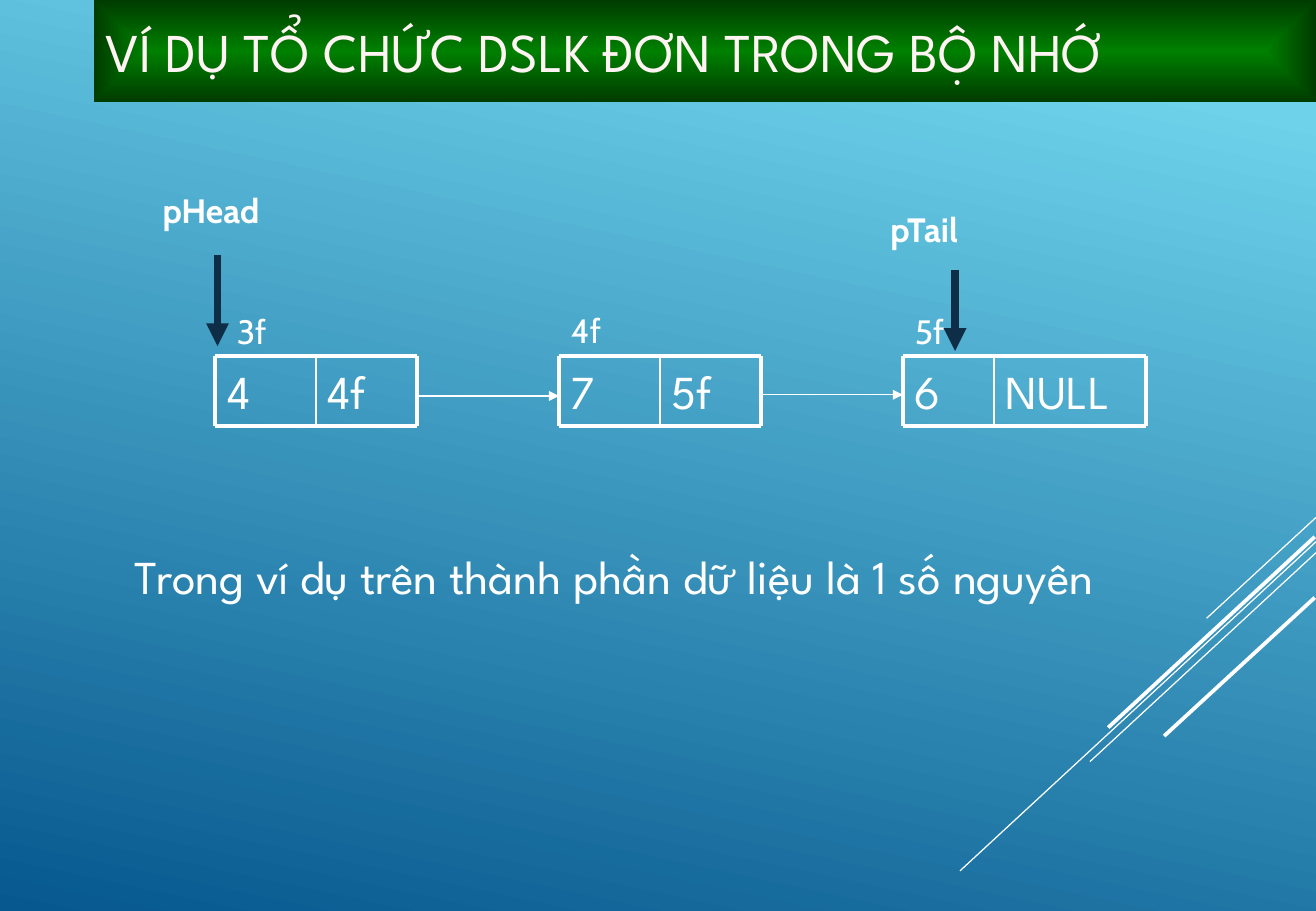
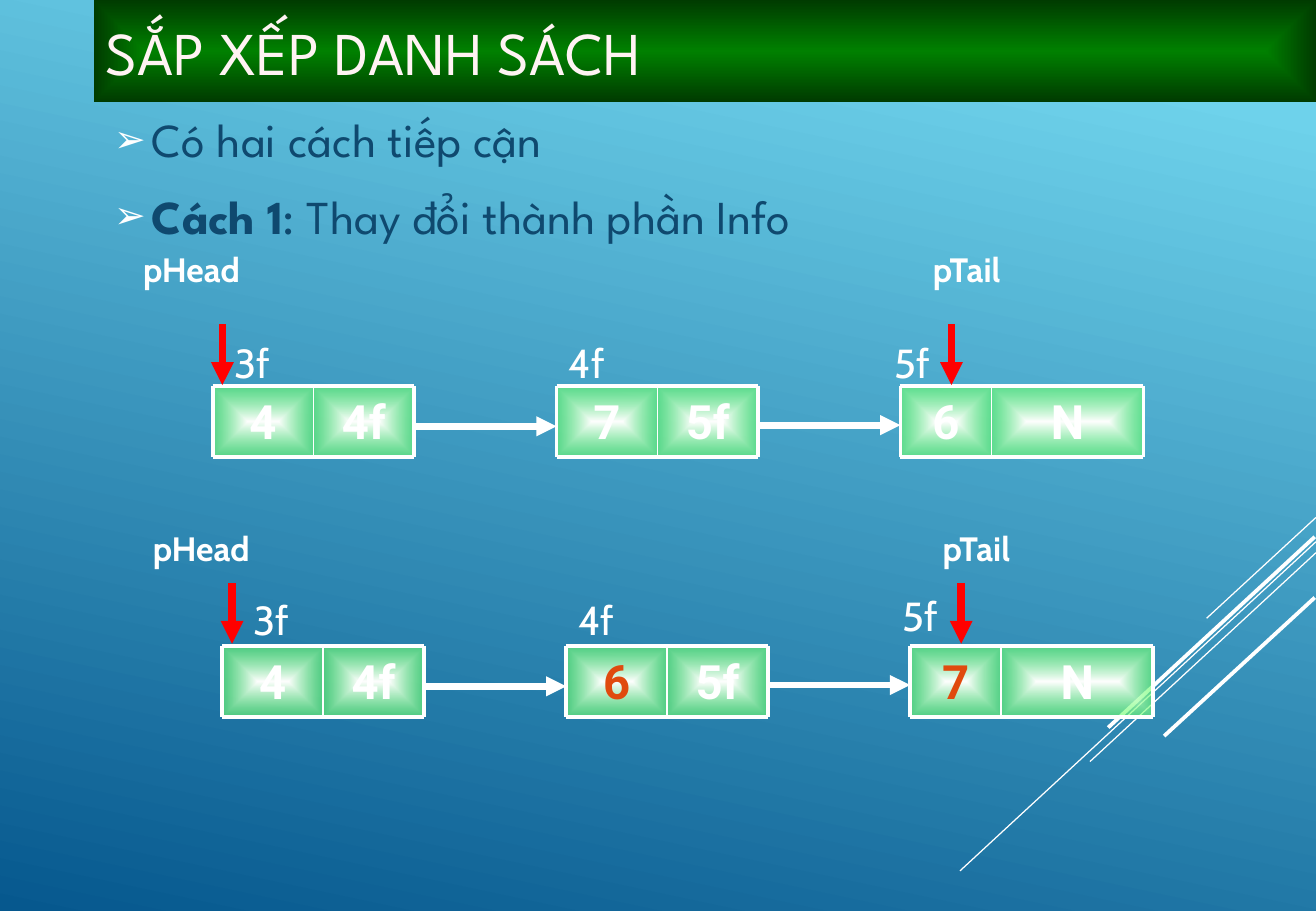
from lxml import etree
from pptx import Presentation
from pptx.dml.color import RGBColor
from pptx.enum.shapes import MSO_CONNECTOR as Connector, MSO_SHAPE as Preset
from pptx.enum.text import MSO_ANCHOR as Anchor, MSO_AUTO_SIZE as AutoSize, PP_ALIGN as Align
from pptx.oxml import parse_xml
from pptx.oxml.ns import nsdecls, qn
from pptx.util import Inches, Pt

# Shared look
WIDTH, HEIGHT = 10.83, 7.5
COLORS = {"white": "FFFFFF", "title": "FFF3F3", "sky": "6ED2EB", "sea": "06588E",
          "band": "008000", "band_edge": "003B00", "node_edge": "69FF69",
          "body": "0F496F", "navy": "0D2E46", "red": "FF0000", "orange": "E04A0E"}
BAND = (0.77, 0, 10.06, 0.84)
RAYS = [((10.83, 4.26), (9.93, 5.09), 0.75), ((10.83, 4.46), (7.9, 7.17), 0.75),
        ((10.83, 4.55), (8.97, 6.27), 0.75), ((10.82, 4.42), (9.12, 5.99), 2.25),
        ((10.82, 4.92), (9.58, 6.06), 2.25)]

# Content
EXAMPLE_TITLE = "VÍ DỤ TỔ CHỨC DSLK ĐƠN TRONG BỘ NHỚ"
EXAMPLE_NOTE = "Trong ví dụ trên thành phần dữ liệu là 1 số nguyên"
SORT_TITLE = "SẮP XẾP DANH SÁCH"
SORT_POINTS = [[("Có hai cách tiếp cận", False)],
               [("Cách 1", True), (": Thay đổi thành phần Info", False)]]
ADDRESSES = ["3f", "4f", "5f"]

# Node grid: each node has a data cell and a link cell
NODE_STEP, NODE_HEIGHT = 2.83, 0.58
CELL_WIDTHS = [(0.83, 0.83), (0.83, 0.83), (0.75, 1.25)]
LINK_DROPS = [0.33, 0.32]

PLAIN = {"cell": {"size": 28, "font": "League Spartan"}, "filled": False,
         "address_size": 20, "link": 0.75, "pointer": "navy"}
GLOSSY = {"cell": {"size": 28, "font": "Roboto", "bold": True, "align": Align.CENTER},
          "filled": True, "address_size": 24, "link": 4, "pointer": "red"}

# Offsets are measured from the top left corner of the first node;
# a pointer is (name, label offset, arrow x, arrow start y, arrow end y)
EXAMPLE_LIST = {
    "origin": (1.77, 2.93), "look": PLAIN, "changed": (),
    "values": [("4", "4f"), ("7", "5f"), ("6", "NULL")],
    "address_shifts": [(0.08, -0.42), (0, -0.43), (0, -0.42)],
    "pointers": [("pHead", (-0.53, -1.42), 0.02, -0.83, -0.08),
                 ("pTail", (5.46, -1.26), 6.09, -0.71, -0.04)]}
BEFORE_LIST = {
    "origin": (1.75, 3.18), "look": GLOSSY, "changed": (),
    "values": [("4", "4f"), ("7", "5f"), ("6", "N")],
    "address_shifts": [(0.08, -0.45), (0, -0.45), (-0.15, -0.45)],
    "pointers": [("pHead", (-0.67, -1.18), 0.08, -0.51, -0.01),
                 ("pTail", (5.83, -1.18), 6.08, -0.51, -0.01)]}
AFTER_LIST = {
    "origin": (1.83, 5.32), "look": GLOSSY, "changed": (1, 2),
    "values": [("4", "4f"), ("6", "5f"), ("7", "N")],
    "address_shifts": [(0.16, -0.47), (0, -0.47), (-0.16, -0.5)],
    "pointers": [("pHead", (-0.67, -1.02), 0.08, -0.52, -0.02),
                 ("pTail", (5.83, -1.02), 6.08, -0.52, -0.02)]}


def rgb(name):
    return RGBColor.from_string(COLORS[name])


def place(shape, box):
    for side, value in zip(("left", "top", "width", "height"), box):
        setattr(shape, side, Inches(value))


def style_font(font, size, name, color="white", bold=False):
    for key, value in {"size": Pt(size), "name": name, "bold": bold}.items():
        setattr(font, key, value)
    font.color.rgb = rgb(color)


def write(shape, text, size, font, color="white", bold=False, align=Align.LEFT,
          anchor=Anchor.TOP):
    frame = shape.text_frame
    settings = {"word_wrap": True, "auto_size": AutoSize.NONE, "vertical_anchor": anchor}
    for key, value in settings.items():
        setattr(frame, key, value)
    paragraph = frame.paragraphs[0]
    paragraph.alignment = align
    run = paragraph.add_run()
    run.text = text
    style_font(run.font, size, font, color, bold)


def add_text(slide, box, text, **style):
    write(slide.shapes.add_textbox(*map(Inches, box)), text, **style)


def fill_from_center(shape, center, edge, edge_alpha=100):
    shape.fill.gradient()
    gradient = shape.element.spPr.find(qn("a:gradFill"))
    gradient.getparent().replace(gradient, parse_xml(
        f'<a:gradFill {nsdecls("a")} rotWithShape="1"><a:gsLst>'
        f'<a:gs pos="0"><a:srgbClr val="{COLORS[center]}"/></a:gs>'
        f'<a:gs pos="100000"><a:srgbClr val="{COLORS[edge]}">'
        f'<a:alpha val="{edge_alpha * 1000}"/></a:srgbClr></a:gs></a:gsLst>'
        '<a:path path="shape"><a:fillToRect l="50000" t="50000" r="50000" b="50000"/>'
        '</a:path></a:gradFill>'))


def add_line(slide, start, end, width, color="white", arrow=False):
    line = slide.shapes.add_connector(Connector.STRAIGHT, *map(Inches, (*start, *end)))
    line.line.width = Pt(width)
    line.line.color.rgb = rgb(color)
    if arrow:
        etree.SubElement(line.line._get_or_add_ln(), qn("a:tailEnd"), type="triangle")
    etree.SubElement(line.element.spPr, qn("a:effectLst"))
    return line


def dress_master(master, slide):
    """Give the master the background and the slanting rays."""
    fill = master.background.fill
    fill.gradient()
    fill.gradient_angle = 360 - 102
    for stop, position, color in zip(fill.gradient_stops, (0.1, 1), ("sky", "sea")):
        stop.position = position
        stop.color.rgb = rgb(color)
    for start, end, width in RAYS:
        ray = add_line(slide, start, end, width)
        master.element.cSld.spTree.append(ray.element)


def add_title(slide, text, size):
    title = slide.shapes.title
    place(title, BAND)
    fill_from_center(title, "band", "band_edge")
    write(title, text, size, "League Spartan", "title", anchor=Anchor.MIDDLE)


def add_points(body, points):
    place(body, (0.84, 0.86, 9.98, 1.42))
    frame = body.text_frame
    frame.auto_size = AutoSize.NONE
    frame.vertical_anchor = Anchor.TOP
    for index, runs in enumerate(points):
        paragraph = frame.add_paragraph() if index else frame.paragraphs[0]
        properties = paragraph._p.get_or_add_pPr()
        properties.set("marL", str(Inches(0.31)))
        properties.set("indent", str(-Inches(0.31)))
        color = etree.SubElement(properties, qn("a:buClr"))
        etree.SubElement(color, qn("a:srgbClr"), val=COLORS["white"])
        etree.SubElement(properties, qn("a:buSzPct"), val="80000")
        etree.SubElement(properties, qn("a:buChar"), char="➢")
        paragraph.space_before = Pt(5.6 if index else 0)
        paragraph.space_after = Pt(6)
        for text, bold in runs:
            run = paragraph.add_run()
            run.text = text
            style_font(run.font, 28, "League Spartan", "body", bold)


def add_cell(slide, box, text, look, color):
    if not look["filled"]:
        add_text(slide, box, text, color=color, **look["cell"])
        return
    cell = slide.shapes.add_shape(Preset.RECTANGLE, *map(Inches, box))
    cell.shadow.inherit = False
    fill_from_center(cell, "white", "node_edge", 60)
    cell.line.color.rgb = rgb("white")
    cell.line.width = Pt(0.75)
    write(cell, text, color=color, **look["cell"])


def add_node(slide, left, top, widths, values, look, data_color):
    middle, right, bottom = left + widths[0], left + sum(widths), top + NODE_HEIGHT
    for x, width, text, color in zip((left, middle), widths, values, (data_color, "white")):
        add_cell(slide, (x, top, width, NODE_HEIGHT), text, look, color)
    for y in (top, bottom):
        add_line(slide, (left, y), (right, y), 2.25)
    for x, weight in ((left, 2.25), (middle, 1), (right, 2.25)):
        add_line(slide, (x, top), (x, bottom), weight)


def add_linked_list(slide, origin, look, values, changed, address_shifts, pointers):
    left, top = origin
    starts = [left + index * NODE_STEP for index in range(len(values))]
    for index, (x, (dx, dy)) in enumerate(zip(starts, address_shifts)):
        add_node(slide, x, top, CELL_WIDTHS[index], values[index], look,
                 "orange" if index in changed else "white")
        add_text(slide, (x + dx, top + dy, 0.75, 0.45), ADDRESSES[index],
                 size=look["address_size"], font="Cabin")
    # Links between neighbours
    for index, drop in enumerate(LINK_DROPS):
        add_line(slide, (starts[index] + sum(CELL_WIDTHS[index]), top + drop),
                 (starts[index + 1], top + drop), look["link"], arrow=True)
    # Head and tail pointers
    for name, (dx, dy), x, start, end in pointers:
        add_text(slide, (left + dx, top + dy, 1.17, 0.43), name,
                 size=20, font="Cabin", bold=True)
        add_line(slide, (left + x, top + start), (left + x, top + end), 4.5,
                 look["pointer"], arrow=True)


def main():
    presentation = Presentation()
    presentation.slide_width, presentation.slide_height = Inches(WIDTH), Inches(HEIGHT)
    layouts = presentation.slide_layouts

    # Slide 1: a list in memory
    example = presentation.slides.add_slide(layouts.get_by_name("Title Only"))
    dress_master(presentation.slide_master, example)
    add_title(example, EXAMPLE_TITLE, 32.4)
    add_linked_list(example, **EXAMPLE_LIST)
    add_text(example, (1.01, 4.46, 9.14, 0.57), EXAMPLE_NOTE, size=28, font="League Spartan")

    # Slide 2: sorting by swapping data
    sorting = presentation.slides.add_slide(layouts.get_by_name("Title and Content"))
    add_title(sorting, SORT_TITLE, 36)
    add_points(sorting.placeholders[1], SORT_POINTS)
    for linked_list in (BEFORE_LIST, AFTER_LIST):
        add_linked_list(sorting, **linked_list)

    presentation.save("out.pptx")


if __name__ == "__main__":
    main()
